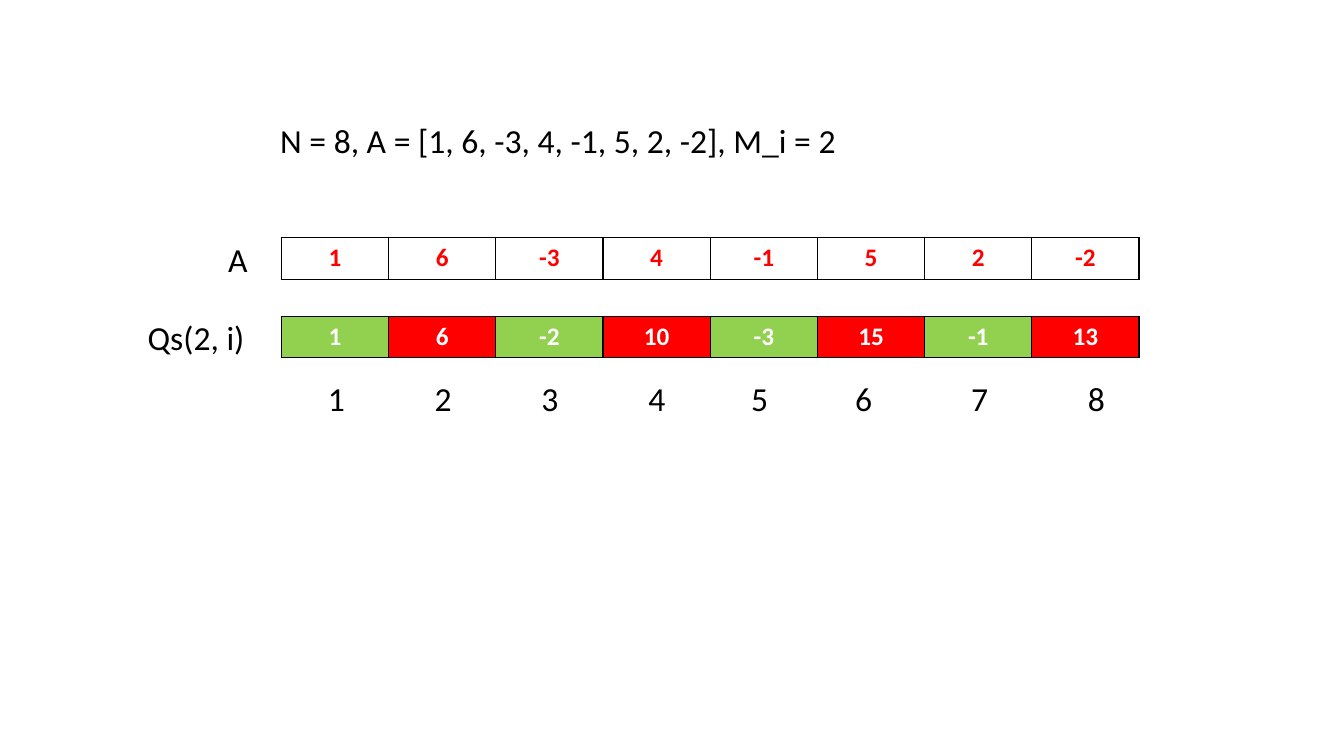
from lxml import etree
from pptx import Presentation
from pptx.dml.color import RGBColor
from pptx.enum import text
from pptx.oxml import ns
from pptx.util import Inches, Pt

BLACK = RGBColor(0x00, 0x00, 0x00)
WHITE = RGBColor(0xFF, 0xFF, 0xFF)
RED = RGBColor(0xFF, 0x00, 0x00)
GREEN = RGBColor(0x92, 0xD0, 0x50)
FONT = "Calibri"
CENTER = text.PP_ALIGN.CENTER

ROW_LEFT, ROW_WIDTH, ROW_HEIGHT = 2.79, 8.51, 0.41
VALUES = [1, 6, -3, 4, -1, 5, 2, -2]
QUERY_SUMS = [1, 6, -2, 10, -3, 15, -1, 13]
INDEX_LEFTS = [3.14, 4.2, 5.26, 6.32, 7.34, 8.37, 9.52, 10.68]


def write(tf, content, size=24, color=BLACK, bold=False, align=CENTER):
    """Put one formatted run into a text frame."""
    p = tf.paragraphs[0]
    p.alignment = align
    r = p.add_run()
    r.text = content
    r.font.name = FONT
    r.font.size = Pt(size)
    r.font.bold = bold
    r.font.color.rgb = color


def add_label(slide, content, left, top, width, **fmt):
    """Add a text box holding one line."""
    sp = slide.shapes.add_textbox(Inches(left), Inches(top), Inches(width), Inches(0.5))
    tf = sp.text_frame
    tf.word_wrap = True
    tf.auto_size = text.MSO_AUTO_SIZE.SHAPE_TO_FIT_TEXT
    write(tf, content, **fmt)


def set_borders(cell, color=BLACK, width=1):
    """Draw a solid line on all four sides of a cell."""
    tc_pr = cell._tc.get_or_add_tcPr()
    for i, side in enumerate("LRTB"):
        ln = etree.Element(ns.qn(f"a:ln{side}"), w=str(Pt(width)))
        fill = etree.SubElement(ln, ns.qn("a:solidFill"))
        etree.SubElement(fill, ns.qn("a:srgbClr"), val=str(color))
        tc_pr.insert(i, ln)


def add_array(slide, numbers, top, fills, color):
    """Add a one-row table, cycling through the given cell fills."""
    frame = slide.shapes.add_table(1, len(numbers), Inches(ROW_LEFT), Inches(top),
                                   Inches(ROW_WIDTH), Inches(ROW_HEIGHT))
    table = frame.table
    table.first_row = table.horz_banding = False
    for i, number in enumerate(numbers):
        cell = table.cell(0, i)
        cell.fill.solid()
        cell.fill.fore_color.rgb = fills[i % len(fills)]
        set_borders(cell)
        write(cell.text_frame, str(number), size=18, color=color, bold=True)


def main():
    """Build the slide and save it."""
    prs = Presentation()
    prs.slide_width, prs.slide_height = Inches(13.33), Inches(7.5)
    slide = prs.slides.add_slide(prs.slide_layouts[6])

    add_label(slide, f"N = {len(VALUES)}, A = {VALUES}, M_i = 2", 2.68, 1.14, 6.25,
              align=text.PP_ALIGN.LEFT)
    add_array(slide, VALUES, 2.36, [WHITE], RED)
    add_label(slide, "A", 2.04, 2.32, 0.64)
    add_label(slide, "Qs(2, i)", 1.21, 3.09, 1.47)
    add_array(slide, QUERY_SUMS, 3.14, [GREEN, RED], WHITE)
    for i, left in enumerate(INDEX_LEFTS, start=1):
        add_label(slide, str(i), left, 3.7, 0.39)

    prs.save("out.pptx")


if __name__ == "__main__":
    main()
